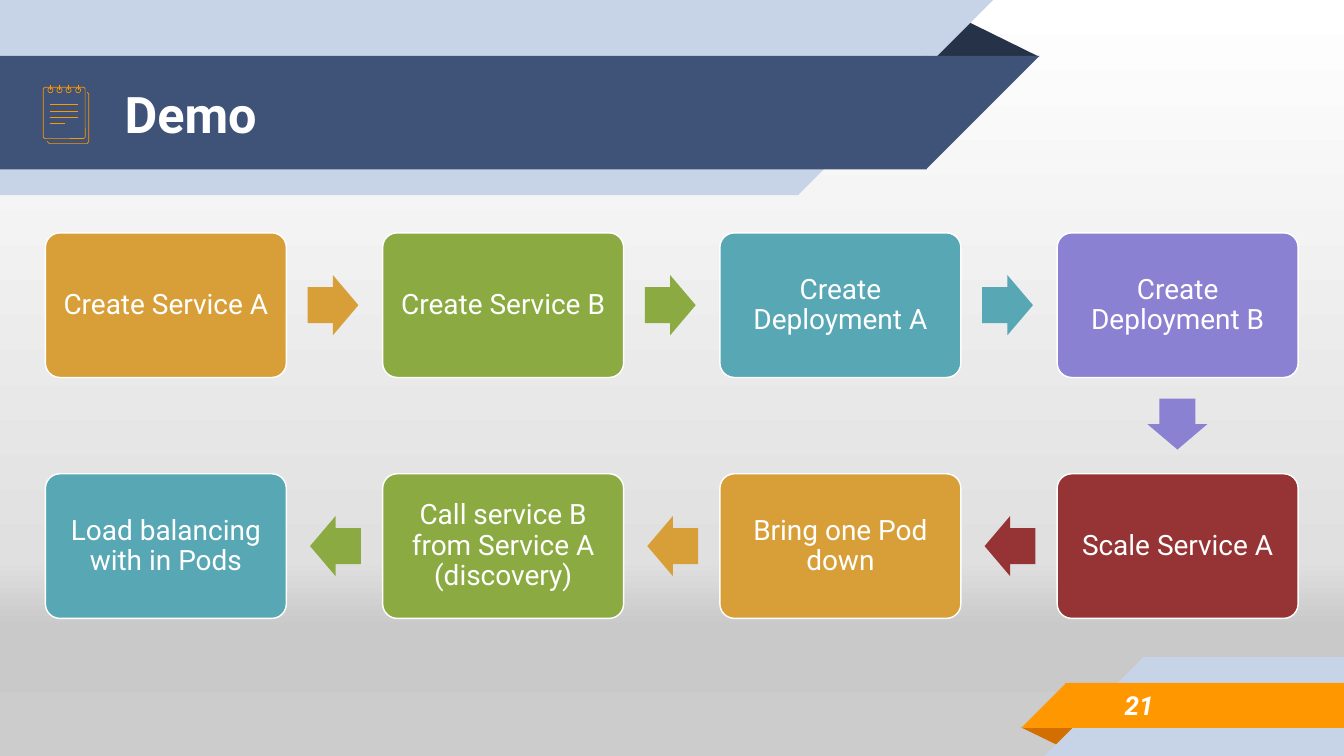
from copy import deepcopy
from dataclasses import dataclass

from lxml import etree
from pptx import Presentation
from pptx.dml.color import RGBColor
from pptx.enum.shapes import MSO_CONNECTOR, MSO_SHAPE
from pptx.enum.text import MSO_ANCHOR, MSO_AUTO_SIZE, PP_ALIGN
from pptx.oxml.ns import qn
from pptx.shapes.autoshape import Shape
from pptx.shapes.shapetree import SlideShapes
from pptx.slide import Slide
from pptx.text.text import TextFrame
from pptx.util import Inches, Pt

RECT = MSO_SHAPE.RECTANGLE
RIGHT_TRIANGLE = MSO_SHAPE.RIGHT_TRIANGLE
TRIANGLE = MSO_SHAPE.ISOSCELES_TRIANGLE
ROUNDED = MSO_SHAPE.ROUNDED_RECTANGLE
OVAL = MSO_SHAPE.OVAL
ARROW = MSO_SHAPE.RIGHT_ARROW

FONT = "Roboto"
WHITE = RGBColor(0xFF, 0xFF, 0xFF)
NAVY = RGBColor(0x3F, 0x53, 0x78)
DARK_NAVY = RGBColor(0x26, 0x32, 0x48)
PALE_BLUE = RGBColor(0xC7, 0xD3, 0xE6)
ORANGE = RGBColor(0xFF, 0x98, 0x00)
DARK_ORANGE = RGBColor(0xD2, 0x6F, 0x00)
GOLD = RGBColor(0xD8, 0x9F, 0x39)
GREEN = RGBColor(0x8B, 0xAB, 0x42)
TEAL = RGBColor(0x57, 0xA7, 0xB5)
PURPLE = RGBColor(0x8B, 0x81, 0xD2)
RED = RGBColor(0x96, 0x33, 0x34)

BACKGROUND_STOPS = (
    (0, WHITE),
    (0.74, RGBColor(0xE0, 0xE0, 0xE0)),
    (0.83, RGBColor(0xC9, 0xC9, 0xC9)),
    (1, RGBColor(0xCC, 0xCC, 0xCC)),
)

# Rotations of a right triangle that bring its square corner to these places
TOP_LEFT, BOTTOM_RIGHT = 90, 270


@dataclass(frozen=True)
class Block:
    kind: MSO_SHAPE
    left: float
    top: float
    width: float
    height: float
    fill: RGBColor | None
    rotation: float = 0
    adjustments: tuple[float, ...] = ()


@dataclass(frozen=True)
class Step:
    label: str
    color: RGBColor
    column: int
    row: int
    arrow: str | None


HEADER_RIBBON = (
    Block(TRIANGLE, 18.35, 0.37, 2.27, 0.76, DARK_NAVY, adjustments=(0.32,)),
    Block(RECT, 0, 0, 15.84, 3.87, PALE_BLUE),
    Block(RIGHT_TRIANGLE, 15.83, 0, 3.87, 3.87, PALE_BLUE, TOP_LEFT),
    Block(RECT, 0, 1.11, 18.38, 2.25, NAVY),
    Block(RIGHT_TRIANGLE, 18.37, 1.11, 2.25, 2.25, NAVY, TOP_LEFT),
)
PAGE_RIBBON = (
    Block(TRIANGLE, 20.25, 14.43, 1.15, 0.38, DARK_ORANGE, 180, (0.32,)),
    Block(RECT, 22.67, 13.04, 4, 1.96, PALE_BLUE),
    Block(RIGHT_TRIANGLE, 20.72, 13.04, 1.96, 1.96, PALE_BLUE, BOTTOM_RIGHT),
    Block(RECT, 21.13, 13.55, 5.54, 0.89, ORANGE),
    Block(RIGHT_TRIANGLE, 20.26, 13.55, 0.89, 0.89, ORANGE, BOTTOM_RIGHT),
)

ICON_LINE = Pt(0.96)
BACK_SHEET = ((0.93, 2.8), (0.98, 2.85), (1.73, 2.85), (1.76, 2.81), (1.76, 1.86), (1.73, 1.83))
RING_CENTRES = (1, 1.18, 1.36, 1.55)
NOTE_LINES = ((2.07, 1.55), (2.2, 1.55), (2.32, 1.55), (2.44, 1.28))  # height, right end

STEPS = (
    Step("Create Service A", GOLD, 0, 0, "right"),
    Step("Create Service B", GREEN, 1, 0, "right"),
    Step("Create Deployment A", TEAL, 2, 0, "right"),
    Step("Create Deployment B", PURPLE, 3, 0, "down"),
    Step("Scale Service A", RED, 3, 1, "left"),
    Step("Bring one Pod down", GOLD, 2, 1, "left"),
    Step("Call service B from Service A (discovery)", GREEN, 1, 1, "left"),
    Step("Load balancing with in Pods", TEAL, 0, 1, None),
)
STEP_LEFT, STEP_TOP = 0.9, 4.62
STEP_WIDTH, STEP_HEIGHT = 4.78, 2.87
COLUMN_PITCH, ROW_PITCH = 6.69, 4.78
# Offset from the corner of the step, and rotation
ARROW_PLACES = {"right": (5.2, 0.84, 0), "down": (1.88, 3.2, 90), "left": (-1.44, 0.84, 180)}


def paint_background(slide: Slide) -> None:
    fill = slide.background.fill
    fill.gradient()
    fill.gradient_angle = 270
    stop_list = slide.element.find(".//" + qn("a:gsLst"))
    while len(stop_list) < len(BACKGROUND_STOPS):
        stop_list.append(deepcopy(stop_list[0]))
    for stop, (position, color) in zip(fill.gradient_stops, BACKGROUND_STOPS):
        stop.position = position
        stop.color.rgb = color


def add_block(shapes: SlideShapes, block: Block) -> Shape:
    shape = shapes.add_shape(
        block.kind, Inches(block.left), Inches(block.top), Inches(block.width), Inches(block.height)
    )
    shape.shadow.inherit = False
    shape.rotation = block.rotation
    for index, value in enumerate(block.adjustments):
        shape.adjustments[index] = value
    if block.fill is None:
        shape.fill.background()
    else:
        shape.fill.solid()
        shape.fill.fore_color.rgb = block.fill
    shape.line.fill.background()
    return shape


def outline(shape: Shape, color: RGBColor, width: Pt) -> None:
    shape.line.color.rgb = color
    shape.line.width = width


def add_icon_line(shapes: SlideShapes, x1: float, y1: float, x2: float, y2: float) -> None:
    line = shapes.add_connector(MSO_CONNECTOR.STRAIGHT, Inches(x1), Inches(y1), Inches(x2), Inches(y2))
    line.line.color.rgb = ORANGE
    line.line.width = ICON_LINE
    etree.SubElement(line._element.spPr, qn("a:effectLst"))


def draw_notepad(shapes: SlideShapes) -> None:
    start, *rest = [(Inches(x), Inches(y)) for x, y in BACK_SHEET]
    builder = shapes.build_freeform(*start)
    builder.add_line_segments(rest, close=False)
    back_sheet = builder.convert_to_shape()
    back_sheet.shadow.inherit = False
    back_sheet.fill.background()
    outline(back_sheet, ORANGE, ICON_LINE)

    front_sheet = add_block(shapes, Block(ROUNDED, 0.86, 1.73, 0.83, 1.02, None, adjustments=(0.05,)))
    outline(front_sheet, ORANGE, ICON_LINE)
    for height, right in NOTE_LINES:
        add_icon_line(shapes, 0.99, height, right, height)
    for centre in RING_CENTRES:
        ring = add_block(shapes, Block(OVAL, centre - 0.05, 1.74, 0.1, 0.1, None))
        outline(ring, ORANGE, ICON_LINE)
        add_icon_line(shapes, centre, 1.68, centre, 1.79)


def write(frame: TextFrame, text: str, size: float, inset: float, align: PP_ALIGN,
          bold: bool = False, italic: bool = False) -> None:
    frame.word_wrap = True
    frame.auto_size = MSO_AUTO_SIZE.NONE
    frame.vertical_anchor = MSO_ANCHOR.MIDDLE
    frame.margin_left = frame.margin_right = Inches(inset)
    frame.margin_top = frame.margin_bottom = Inches(inset)
    frame.text = text
    paragraph = frame.paragraphs[0]
    paragraph.alignment = align
    font = paragraph.font
    font.name, font.size, font.bold, font.italic = FONT, Pt(size), bold, italic
    font.color.rgb = WHITE


def draw_step(shapes: SlideShapes, step: Step) -> None:
    left = STEP_LEFT + step.column * COLUMN_PITCH
    top = STEP_TOP + step.row * ROW_PITCH
    card = add_block(shapes, Block(ROUNDED, left, top, STEP_WIDTH, STEP_HEIGHT, step.color, 0, (0.1,)))
    outline(card, WHITE, Pt(2))
    write(card.text_frame, step.label, 40, 0.25, PP_ALIGN.CENTER)
    card.text_frame.paragraphs[0].line_spacing = 0.9
    if step.arrow:
        dx, dy, rotation = ARROW_PLACES[step.arrow]
        add_block(shapes, Block(ARROW, left + dx, top + dy, 1.01, 1.19, step.color, rotation, (0.6, 0.5)))


def main() -> None:
    presentation = Presentation()
    presentation.slide_width, presentation.slide_height = Inches(26.66), Inches(15)
    slide = presentation.slides.add_slide(presentation.slide_layouts[5])
    shapes = slide.shapes
    paint_background(slide)
    for block in HEADER_RIBBON + PAGE_RIBBON:
        add_block(shapes, block)
    draw_notepad(shapes)

    title = shapes.title
    title.left, title.top, title.width, title.height = Inches(2.37), Inches(1.14), Inches(16.01), Inches(2.23)
    write(title.text_frame, "Demo", 72, 0.1, PP_ALIGN.LEFT, bold=True)
    shapes._spTree.append(title._element)  # in front of the ribbon

    page_number = shapes.add_textbox(Inches(22.21), Inches(13.52), Inches(4.34), Inches(0.92))
    write(page_number.text_frame, "21", 37.3, 0.1, PP_ALIGN.LEFT, bold=True, italic=True)
    for step in STEPS:
        draw_step(shapes, step)
    presentation.save("out.pptx")


if __name__ == "__main__":
    main()
